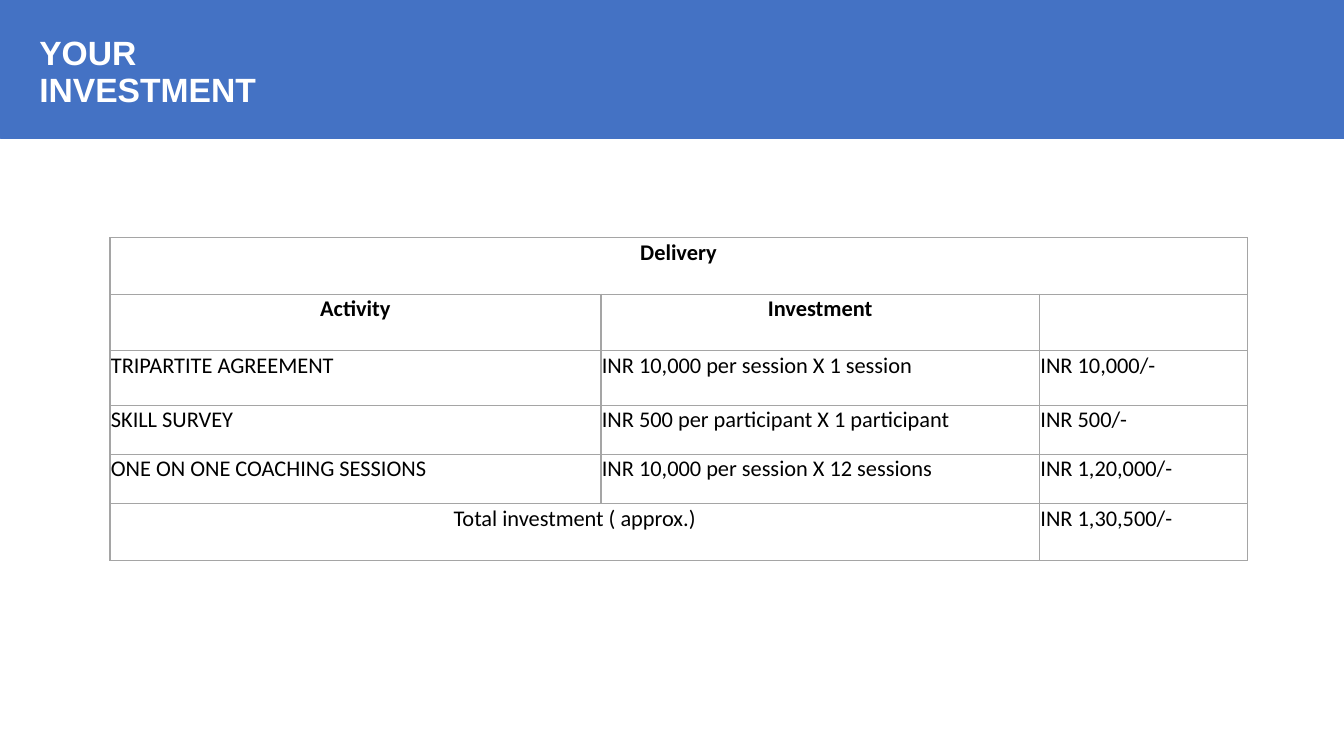
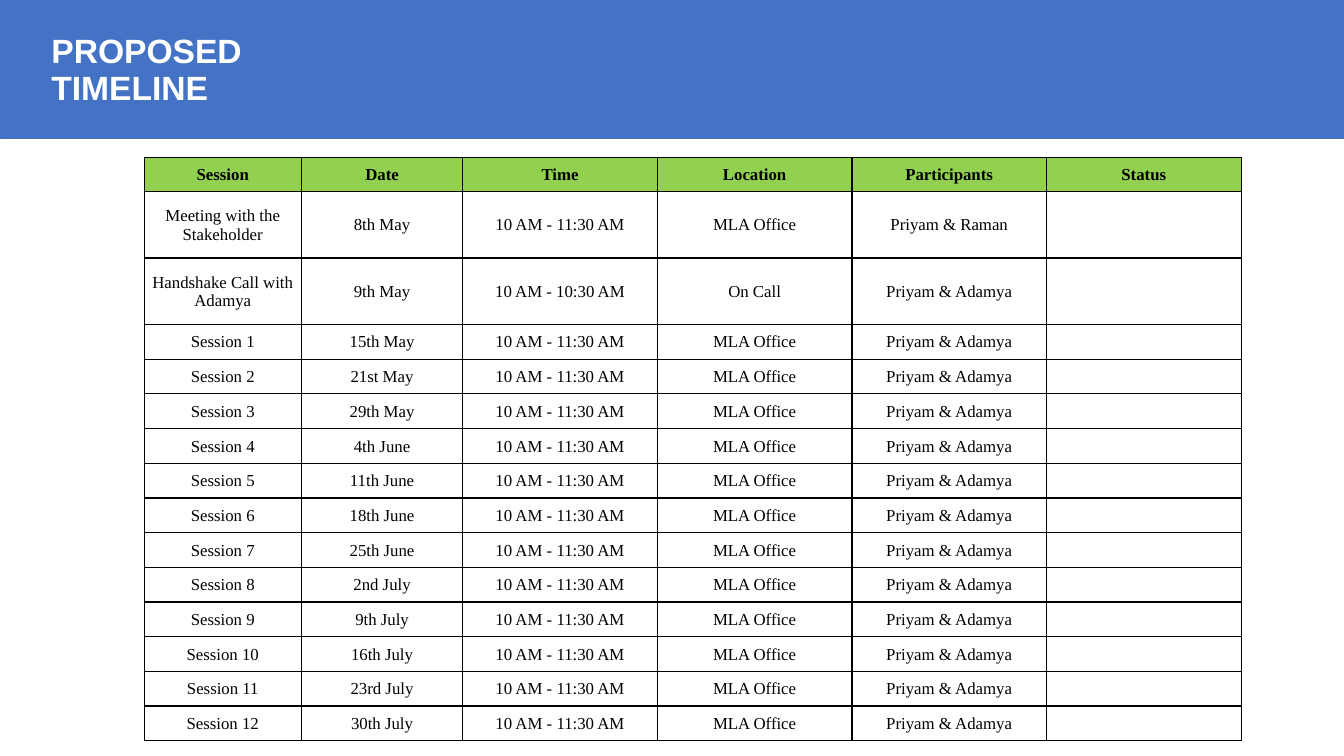
"""Build the investment and timeline slides of a coaching proposal."""
from lxml import etree
from pptx import Presentation
from pptx.dml.color import RGBColor
from pptx.enum.shapes import MSO_SHAPE
from pptx.enum.text import MSO_ANCHOR, MSO_AUTO_SIZE, PP_ALIGN
from pptx.oxml.ns import qn
from pptx.util import Inches, Pt

LEFT, CENTER = PP_ALIGN.LEFT, PP_ALIGN.CENTER
TOP, MIDDLE = MSO_ANCHOR.TOP, MSO_ANCHOR.MIDDLE
BLUE, GREEN, GREY, BLACK, WHITE = "4472C4", "92D050", "A5A5A5", "000000", "FFFFFF"


def color(value):
    return RGBColor.from_string(value)


def add_grid(page, left, top, widths, heights, rows, border, font, size, anchor):
    frame = page.shapes.add_table(
        len(heights), len(widths), Inches(left), Inches(top),
        Inches(sum(widths)), Inches(sum(heights)))
    table = frame.table
    table.first_row = table.horz_banding = False
    for column, width in zip(table.columns, widths):
        column.width = Inches(width)
    for row, height, texts in zip(table.rows, heights, rows):
        row.height = Inches(height)
        for cell, text in zip(row.cells, texts):
            cell.text = text
            cell.vertical_anchor = anchor
            cell.margin_left = cell.margin_right = cell.margin_top = Inches(0.01)
            cell.margin_bottom = 0
            para = cell.text_frame.paragraphs[0]
            para.alignment = CENTER
            para.font.name = font
            para.font.size = Pt(size)
            para.font.bold = False
            para.font.color.rgb = color(BLACK)
            properties = cell._tc.get_or_add_tcPr()
            for side in ("a:lnL", "a:lnR", "a:lnT", "a:lnB"):
                line = etree.SubElement(properties, qn(side), w=str(Pt(1)))
                fill = etree.SubElement(line, qn("a:solidFill"))
                etree.SubElement(fill, qn("a:srgbClr"), val=border)
            cell.fill.background()
    return table


deck = Presentation()
deck.slide_width, deck.slide_height = Inches(13.33), Inches(7.5)

pages = []
for heading, left, top, width in (
    ("YOUR\nINVESTMENT", 0.29, 0.31, 2.37),
    ("PROPOSED\nTIMELINE", 0.41, 0.29, 2.11),
):
    page = deck.slides.add_slide(deck.slide_layouts[5])
    pages.append(page)
    band = page.shapes.add_shape(
        MSO_SHAPE.RECTANGLE, 0, Inches(-0.01), deck.slide_width, Inches(1.38))
    band.shadow.inherit = False
    band.fill.solid()
    band.fill.fore_color.rgb = band.line.color.rgb = color(BLUE)
    band.line.width = Pt(0.5)

    title = page.shapes.title
    title.element.addprevious(band.element)
    title.left, title.top = Inches(left), Inches(top)
    title.width, title.height = Inches(width), Inches(0.83)
    title.text_frame.text = heading
    title.text_frame.word_wrap = False
    title.text_frame.auto_size = MSO_AUTO_SIZE.SHAPE_TO_FIT_TEXT
    for para in title.text_frame.paragraphs:
        para.alignment = LEFT
        para.line_spacing = 0.9
        para.font.name = "Arial"
        para.font.size = Pt(24)
        para.font.bold = True
        para.font.color.rgb = color(WHITE)

investment_page, timeline_page = pages

costs = [
    ("Delivery", "", ""),
    ("Activity", "Investment", ""),
    ("TRIPARTITE AGREEMENT", "INR 10,000 per session X 1 session", "INR 10,000/-"),
    ("SKILL SURVEY", "INR 500 per participant X 1 participant", "INR 500/-"),
    ("ONE ON ONE COACHING SESSIONS", "INR 10,000 per session X 12 sessions",
     "INR 1,20,000/-"),
    ("Total investment ( approx.)", "", "INR 1,30,500/-"),
]
cost_table = add_grid(
    investment_page, 1.09, 2.36, [4.87, 4.35, 2.06],
    [0.56, 0.56, 0.54, 0.49, 0.49, 0.56], costs, GREY, "Calibri", 16, TOP)
cost_table.cell(0, 0).merge(cost_table.cell(0, 2))
cost_table.cell(5, 0).merge(cost_table.cell(5, 1))
for row in range(2):
    for column in range(3):
        cost_table.cell(row, column).text_frame.paragraphs[0].font.bold = True
for row in range(2, 6):
    for column in range(3):
        if (row, column) != (5, 0):
            cost_table.cell(row, column).text_frame.paragraphs[0].alignment = LEFT

dates = ["15th May", "21st May", "29th May", "4th June", "11th June", "18th June",
         "25th June", "2nd July", "9th July", "16th July", "23rd July", "30th July"]
sessions = [
    ("Session", "Date", "Time", "Location", "Participants", "Status"),
    ("Meeting with the Stakeholder", "8th May", "10 AM - 11:30 AM", "MLA Office",
     "Priyam & Raman", ""),
    ("Handshake Call with Adamya", "9th May", "10 AM - 10:30 AM", "On Call",
     "Priyam & Adamya", ""),
]
for number, date in enumerate(dates, 1):
    sessions.append((f"Session {number}", date, "10 AM - 11:30 AM", "MLA Office",
                     "Priyam & Adamya", ""))
session_table = add_grid(
    timeline_page, 1.43, 1.56, [1.56, 1.6] + [1.93] * 4,
    [0.34, 0.66, 0.66] + [4.13 / 12] * 12, sessions, BLACK, "Times New Roman", 12, MIDDLE)
for cell in session_table.rows[0].cells:
    cell.fill.solid()
    cell.fill.fore_color.rgb = color(GREEN)
    cell.text_frame.paragraphs[0].font.bold = True

deck.save("out.pptx")
